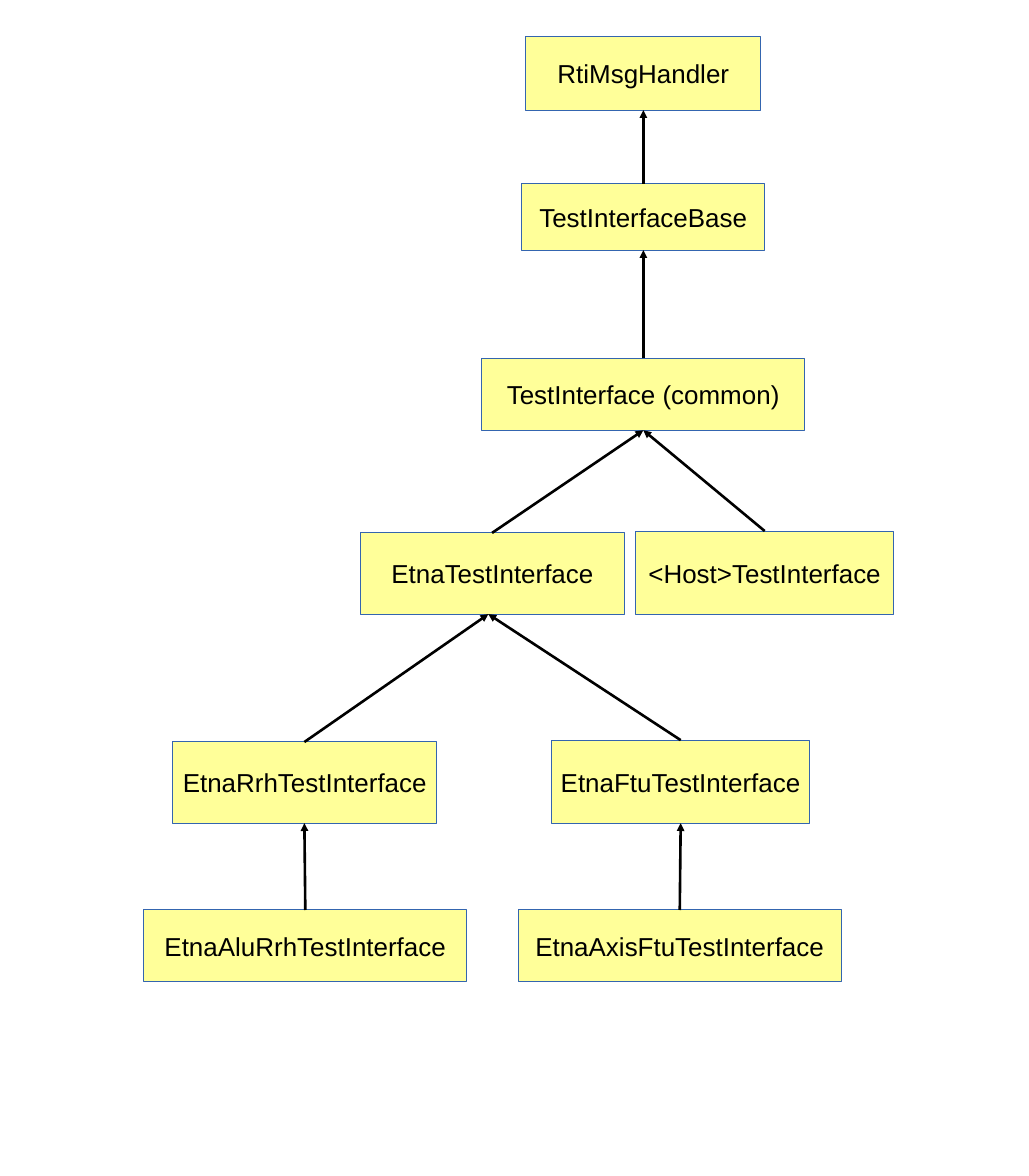
"""Build the class inheritance diagram of the test interfaces."""
from lxml.etree import SubElement
from pptx import Presentation
from pptx.dml.color import RGBColor
from pptx.enum.shapes import MSO_CONNECTOR, MSO_SHAPE
from pptx.enum.text import MSO_ANCHOR, PP_ALIGN
from pptx.oxml.ns import qn
from pptx.util import Pt

EMU_PER_PX = 9144
YELLOW = RGBColor(0xFF, 0xFF, 0x99)
BLUE = RGBColor(0x34, 0x65, 0xAF)
BLACK = RGBColor(0, 0, 0)

CLASSES = {
    "RtiMsgHandler": (563, 39, 252, 79),
    "TestInterfaceBase": (559, 197, 260, 71),
    "TestInterface (common)": (516, 384, 346, 77),
    "EtnaTestInterface": (386, 571, 283, 87),
    "<Host>TestInterface": (681, 569, 276, 89),
    "EtnaRrhTestInterface": (185, 795, 283, 87),
    "EtnaFtuTestInterface": (591, 793, 276, 89),
    "EtnaAluRrhTestInterface": (154, 975, 346, 77),
    "EtnaAxisFtuTestInterface": (555, 975, 346, 77),
}
PARENTS = {
    "TestInterfaceBase": "RtiMsgHandler",
    "TestInterface (common)": "TestInterfaceBase",
    "EtnaTestInterface": "TestInterface (common)",
    "<Host>TestInterface": "TestInterface (common)",
    "EtnaRrhTestInterface": "EtnaTestInterface",
    "EtnaFtuTestInterface": "EtnaTestInterface",
    "EtnaAluRrhTestInterface": "EtnaRrhTestInterface",
    "EtnaAxisFtuTestInterface": "EtnaFtuTestInterface",
}
ARROW_SHIFT = {"EtnaTestInterface": -4}


def px(n):
    """Turn px into EMU."""
    return n * EMU_PER_PX


def add_class_box(s, name, box):
    """Add a yellow box with a class name."""
    sp = s.shapes.add_shape(MSO_SHAPE.RECTANGLE, *map(px, box))
    sp.shadow.inherit = False
    sp.fill.solid()
    sp.fill.fore_color.rgb = YELLOW
    sp.line.color.rgb = BLUE
    sp.line.width = 0
    tf = sp.text_frame
    tf.text = name
    tf.word_wrap = False
    tf.vertical_anchor = MSO_ANCHOR.MIDDLE
    p = tf.paragraphs[0]
    p.alignment = PP_ALIGN.CENTER
    font = p.runs[0].font
    font.name = "Arial"
    font.size = Pt(20)
    font.color.rgb = BLACK


def add_inheritance_arrow(s, child, parent):
    """Add an arrow from the top of a child to the bottom of its parent."""
    left, top, width, _ = CLASSES[child]
    p_left, p_top, p_width, p_height = CLASSES[parent]
    end_x = p_left + p_width // 2 + ARROW_SHIFT.get(parent, 0)
    ends = (left + width // 2, top, end_x, p_top + p_height)
    line = s.shapes.add_connector(MSO_CONNECTOR.STRAIGHT, *map(px, ends))
    line.line.color.rgb = BLACK
    line.line.width = 0
    sp_pr = line._element.spPr
    SubElement(sp_pr.find(qn("a:ln")), qn("a:tailEnd"), type="triangle")
    SubElement(sp_pr, qn("a:effectLst"))


def main():
    """Build and save the slide."""
    prs = Presentation()
    prs.slide_width, prs.slide_height = px(1102), px(1260)
    s = prs.slides.add_slide(prs.slide_layouts[6])
    for name, box in CLASSES.items():
        add_class_box(s, name, box)
    for child, parent in PARENTS.items():
        add_inheritance_arrow(s, child, parent)
    prs.save("out.pptx")


if __name__ == "__main__":
    main()
